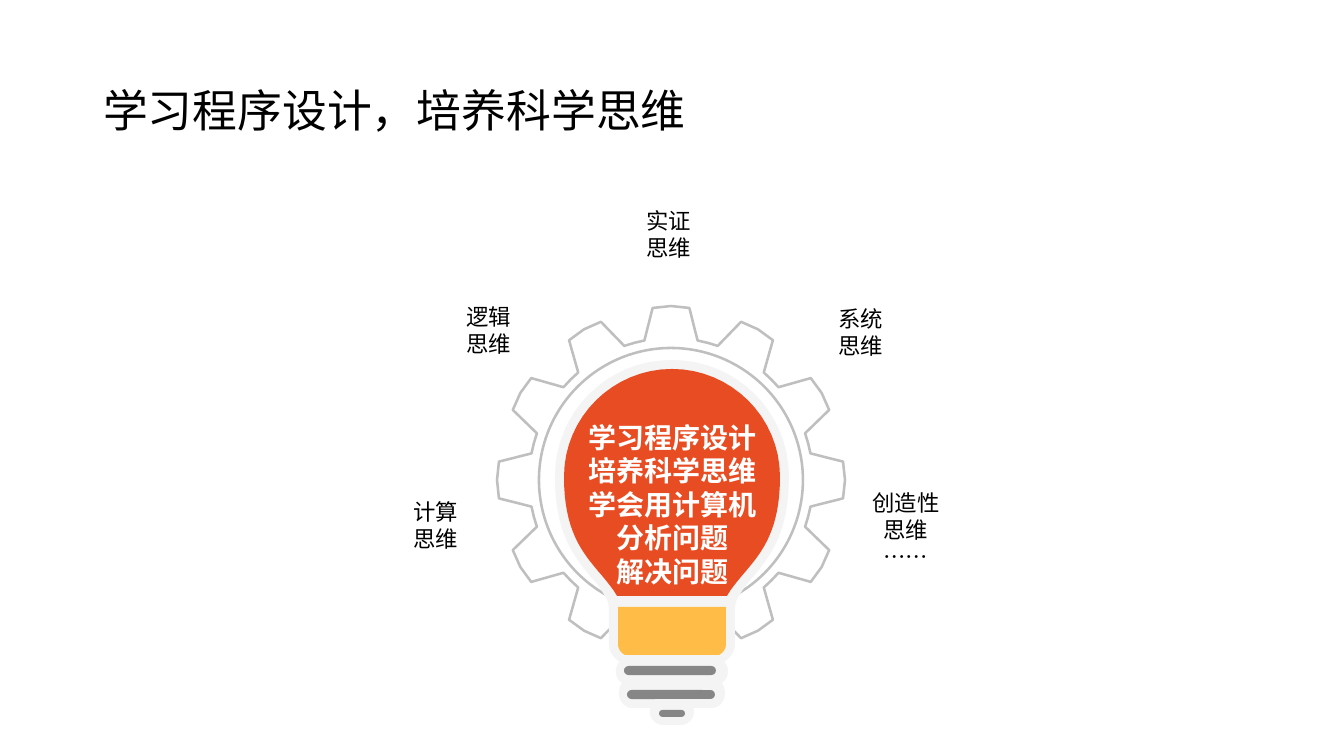
from dataclasses import dataclass
from math import cos, radians, sin

from lxml import etree
from pptx import Presentation
from pptx.dml.color import RGBColor
from pptx.enum.shapes import MSO_SHAPE
from pptx.enum.text import MSO_ANCHOR, PP_ALIGN
from pptx.oxml.ns import qn
from pptx.util import Pt

OVAL, ROUND = MSO_SHAPE.OVAL, MSO_SHAPE.ROUNDED_RECTANGLE
MID, TOP = MSO_ANCHOR.MIDDLE, MSO_ANCHOR.TOP
LEFT, CENTER = PP_ALIGN.LEFT, PP_ALIGN.CENTER
SCALE = 914400 / 100.8
AXIS = 672
SANS = "Noto Sans CJK SC"
HUES = {
    "page": "FFFFFF", "gear": "BFBFBF", "halo": "F4F4F4", "base": "858685",
    "neck": "FFBD47", "bulb": "E84C22", "text": "000000", "light": "FFFFFF",
}


@dataclass
class Part:
    """Right half of a symmetric outline: 2 numbers a line, 6 a curve."""
    hue: str
    start: tuple[int, int]
    steps: list[tuple[int, ...]]


@dataclass
class Label:
    x: int
    y: int
    w: int
    h: int
    lines: list[str]


PARTS = [
    Part("halo", (0, 360), [
        (65, 360, 117, 412, 117, 477), (117, 533, 98, 556, 82, 576),
        (76, 582, 71, 589, 67, 596), (64, 600, 63, 605, 63, 610),
        (63, 644), (63, 652, 58, 658, 52, 662),
        (55, 664, 56, 668, 56, 671), (56, 677, 53, 681, 50, 683),
        (52, 686, 53, 690, 53, 694), (53, 701, 47, 708, 40, 708),
        (21, 708), (22, 709, 22, 710, 22, 712),
        (22, 719, 16, 725, 9, 725)]),
    Part("neck", (54, 607), [(54, 644), (54, 649, 51, 653, 47, 655)]),
    Part("bulb", (0, 369), [
        (59, 369, 108, 417, 108, 477), (108, 530, 90, 552, 74, 571),
        (68, 578, 63, 584, 58, 591), (57, 593, 56, 594, 55, 596)]),
]
BARS = [(624, 666, 92, 9), (627, 690, 88, 9), (659, 710, 26, 7)]
LABELS = [
    Label(399, 493, 73, 65, ["计算思维"]),
    Label(452, 298, 73, 65, ["逻辑思维"]),
    Label(632, 202, 73, 65, ["实证思维"]),
    Label(824, 300, 73, 65, ["系统思维"]),
    Label(857, 484, 98, 92, ["创造性", "思维", "……"]),
]


def px(num: float) -> int:
    return round(num * SCALE)


def tint(name: str) -> RGBColor:
    return RGBColor.from_string(HUES[name])


def paint(shape, fill: str = "", line: str = "") -> None:
    shape.shadow.inherit = False
    if fill:
        shape.fill.solid()
        shape.fill.fore_color.rgb = tint(fill)
    else:
        shape.fill.background()
    if line:
        shape.line.color.rgb = tint(line)
        shape.line.width = Pt(1.8)
    else:
        shape.line.fill.background()


def trace(shapes, dots: list[tuple[float, float]]):
    spots = [(px(x), px(y)) for x, y in dots]
    form = shapes.build_freeform(*spots[0], scale=1.0)
    form.add_line_segments(spots[1:], close=True)
    return form.convert_to_shape()


def bend(part: Part, count: int = 16) -> list[tuple[float, float]]:
    dots = [part.start]
    for step in part.steps:
        if len(step) == 2:
            dots.append(step)
            continue
        x0, y0 = dots[-1]
        x1, y1, x2, y2, x3, y3 = step
        for i in range(1, count + 1):
            t = i / count
            a, b, c, d = (1 - t)**3, 3*t*(1 - t)**2, 3*t*t*(1 - t), t**3
            dots.append((a*x0 + b*x1 + c*x2 + d*x3,
                         a*y0 + b*y1 + c*y2 + d*y3))
    right = [(AXIS + x, y) for x, y in dots]
    left = [(AXIS - x, y) for x, y in reversed(dots)]
    return right + left


def write(frame, lines: list[str], size: int, hue: str, font: str = SANS,
          bold: bool = False, align=CENTER, pitch=None) -> None:
    frame.word_wrap = True
    for i, line in enumerate(lines):
        para = frame.paragraphs[0] if i == 0 else frame.add_paragraph()
        para.alignment = align
        para.line_spacing = pitch or Pt(size * 1.2)
        run = para.add_run()
        run.text = line
        run.font.size, run.font.bold = Pt(size), bold
        run.font.color.rgb = tint(hue)
        run.font.name = font
        east = etree.SubElement(run.font._element, qn("a:ea"))
        east.set("typeface", SANS)


def gear(shapes, x: int = 671, y: int = 480, teeth: int = 12) -> None:
    # Radius and angle of each corner of one tooth
    tooth = [(142, -10.8), (173, -6.1), (174, 0), (173, 6.1),
             (142, 10.8), (142, 15)]
    dots = []
    for i in range(teeth):
        for r, turn in tooth:
            a = radians(i * 360 / teeth + turn)
            dots.append((x + r * sin(a), y - r * cos(a)))
    paint(trace(shapes, dots), line="gear")
    r = 132
    ring = shapes.add_shape(OVAL, px(x - r), px(y - r), px(2 * r), px(2 * r))
    paint(ring, line="gear")


def box(shapes, item: Label):
    return shapes.add_textbox(px(item.x), px(item.y), px(item.w),
                              px(item.h)).text_frame


def main() -> None:
    deck = Presentation()
    deck.slide_width, deck.slide_height = px(1344), px(756)
    slide = deck.slides.add_slide(deck.slide_layouts[5])
    slide.background.fill.solid()
    slide.background.fill.fore_color.rgb = tint("page")
    shapes = slide.shapes

    # Title
    title = shapes.title
    title.left, title.top = px(93), px(40)
    title.width, title.height = px(1159), px(146)
    title.text_frame.vertical_anchor = MID
    write(title.text_frame, ["学习程序设计，培养科学思维"], 32, "text",
          align=LEFT, pitch=0.9)

    # Gear and bulb
    gear(shapes)
    for part in PARTS:
        paint(trace(shapes, bend(part)), part.hue)
    for x, y, w, h in BARS:
        bar = shapes.add_shape(ROUND, px(x), px(y), px(w), px(h))
        bar.adjustments[0] = 0.5
        paint(bar, "base")

    # Words in the bulb
    core = Label(581, 432, 183, 144, [
        "学习程序设计", "培养科学思维", "学会用计算机分析问题", "解决问题"])
    frame = box(shapes, core)
    frame.margin_left = frame.margin_right = 0
    frame.vertical_anchor = MID
    write(frame, core.lines, 20, "light", font="Calibri", bold=True)

    # Words around the gear
    for item in LABELS:
        frame = box(shapes, item)
        frame.vertical_anchor = TOP
        write(frame, item.lines, 16, "text")

    deck.save("out.pptx")


if __name__ == "__main__":
    main()
